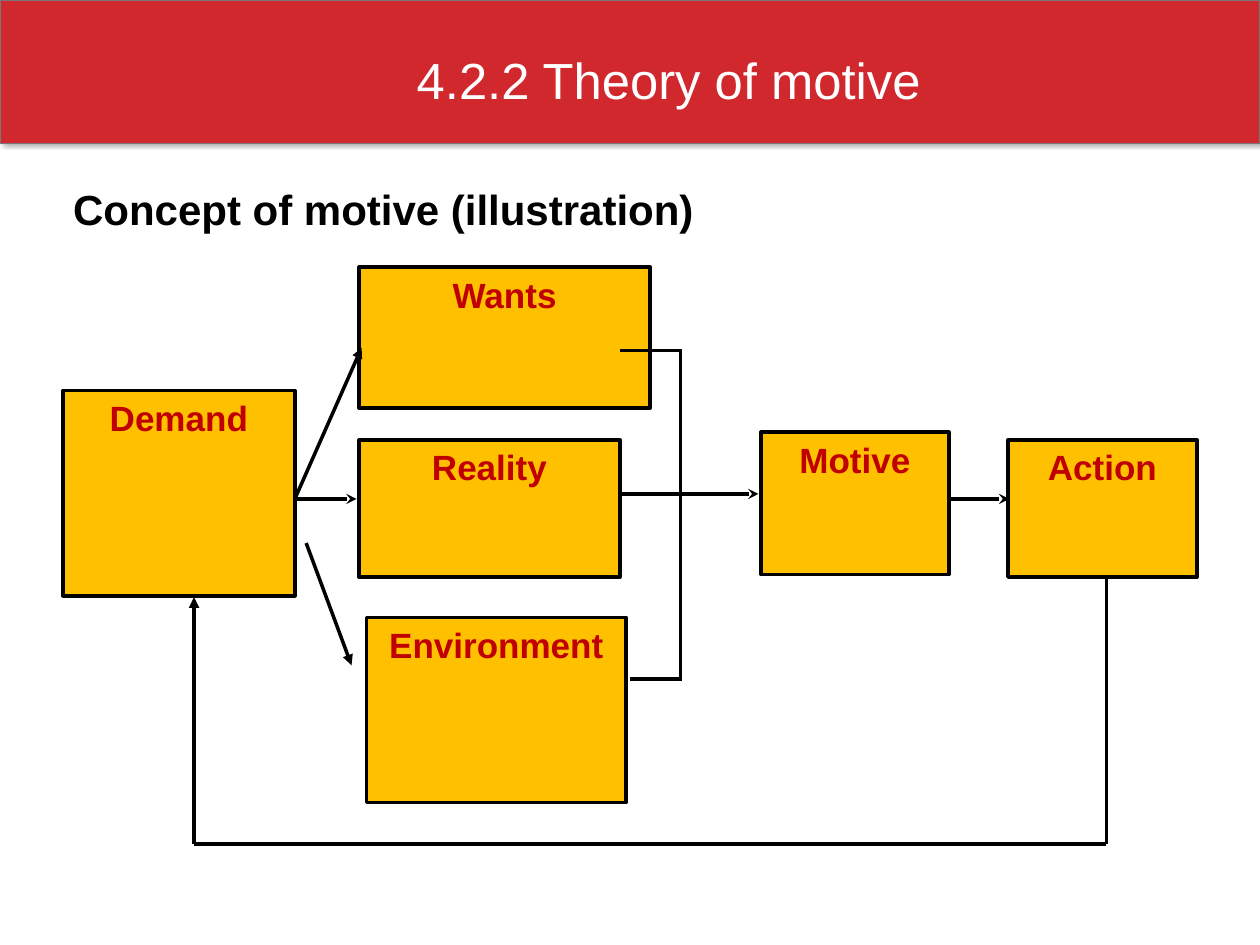
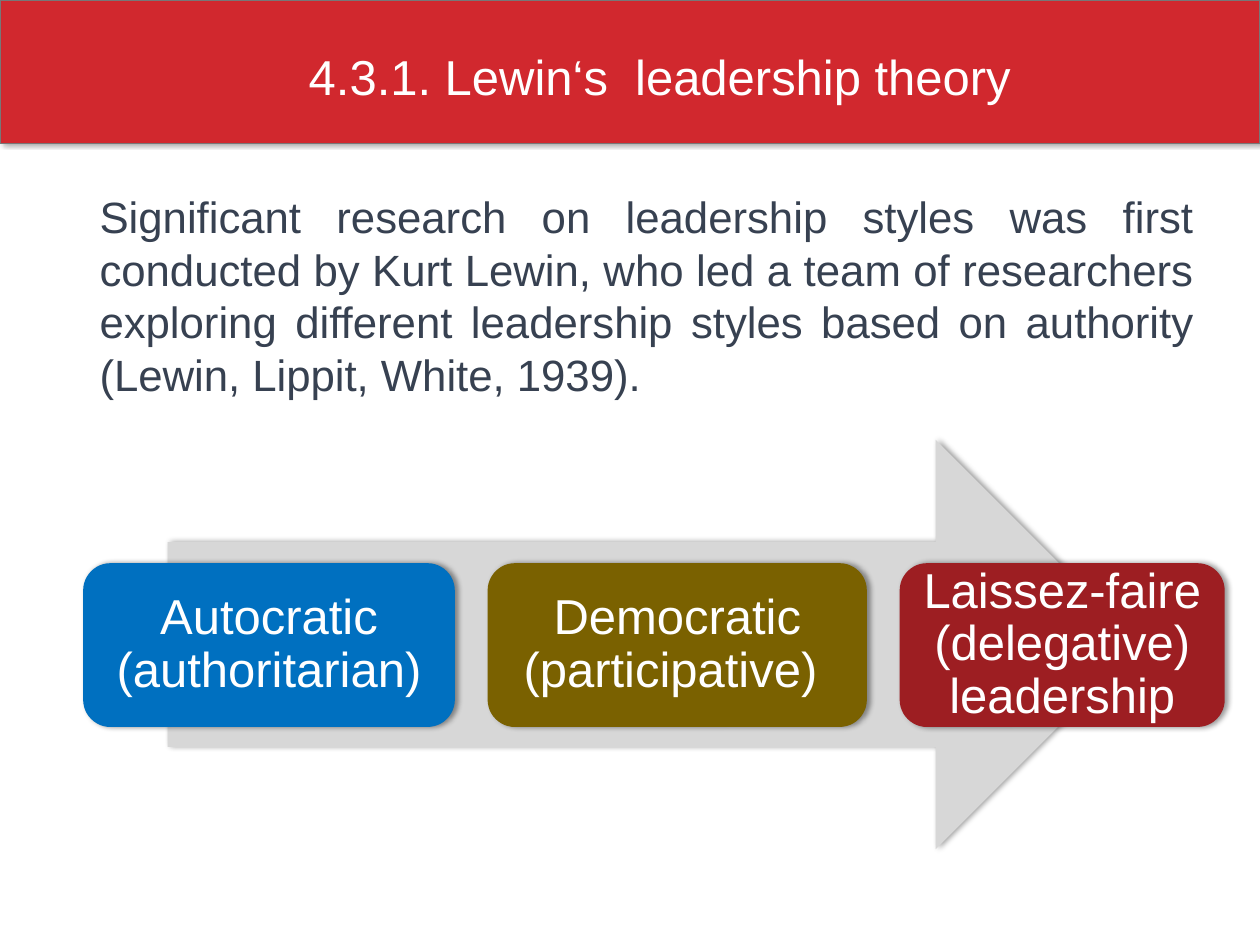
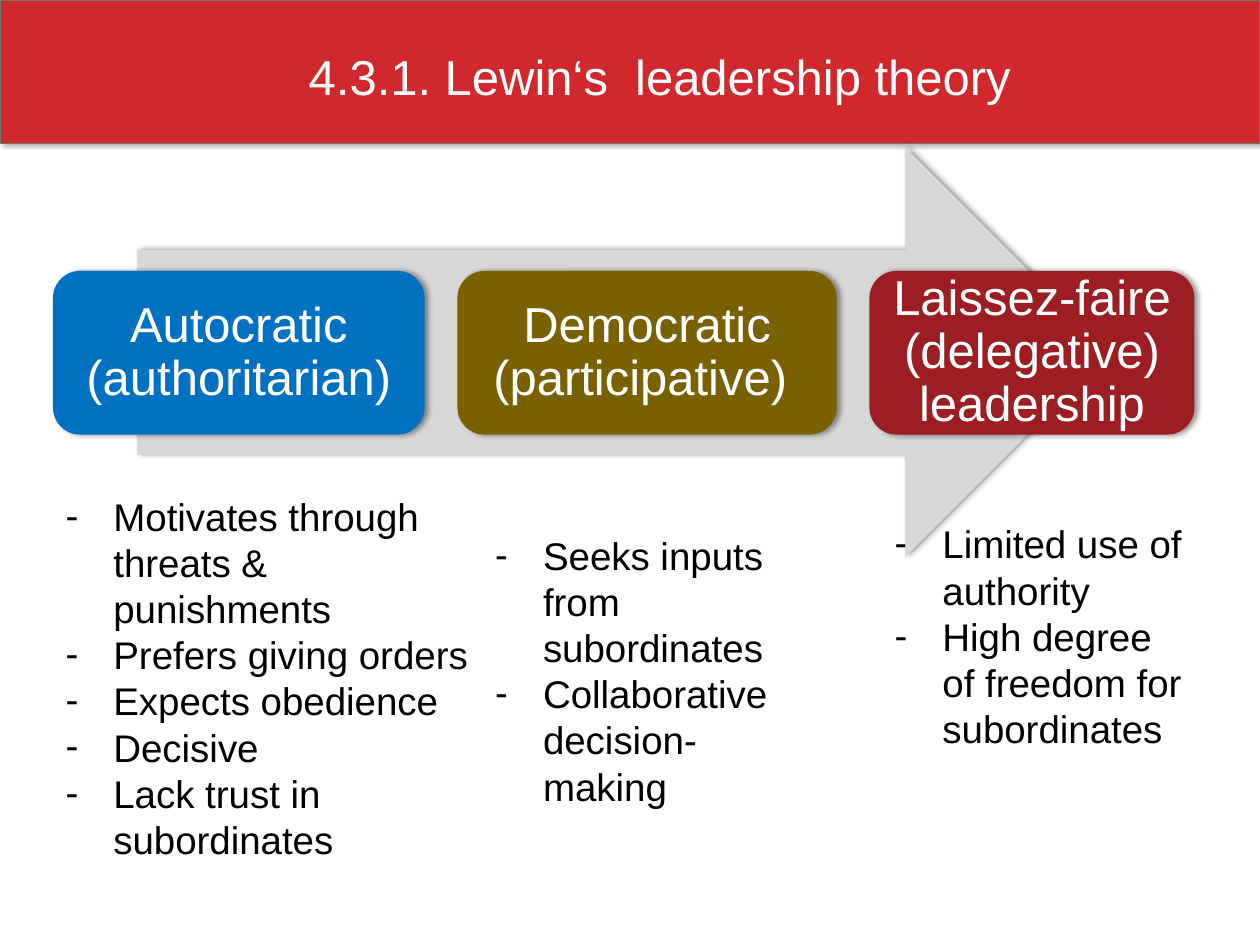
from dataclasses import dataclass

from lxml.etree import SubElement
from pptx import Presentation
from pptx.dml.color import RGBColor
from pptx.enum.shapes import MSO_CONNECTOR, MSO_SHAPE
from pptx.enum.text import MSO_ANCHOR, MSO_AUTO_SIZE, PP_ALIGN
from pptx.oxml.ns import qn
from pptx.util import Inches, Pt


@dataclass(frozen=True)
class Theme:
    font: str = "Arial"
    red: str = "D1282E"
    band_edge: str = "777777"
    white: str = "FFFFFF"
    black: str = "000000"
    amber: str = "FFC000"
    label_red: str = "C00000"
    slate: str = "374151"
    grey: str = "D7D7D7"
    blue: str = "0070C0"
    olive: str = "7A6100"
    crimson: str = "9D1E22"
    motive_title_size: int = 29
    title_size: int = 28
    style_size: int = 28
    paragraph_size: int = 25
    heading_size: int = 24
    list_size: int = 22
    label_size: int = 20


theme = Theme()


def write(shape, *texts, size, color, box=None, bold=False, align=PP_ALIGN.LEFT,
          anchor=MSO_ANCHOR.TOP, spacing=1.0, inset=(0.1, 0.05), marker=None):
    if box:
        shape.left, shape.top, shape.width, shape.height = map(Inches, box)
    frame = shape.text_frame
    frame.word_wrap = True
    frame.auto_size = MSO_AUTO_SIZE.NONE
    frame.vertical_anchor = anchor
    frame.margin_left = frame.margin_right = Inches(inset[0])
    frame.margin_top = frame.margin_bottom = Inches(inset[1])
    for number, text in enumerate(texts):
        paragraph = frame.add_paragraph() if number else frame.paragraphs[0]
        paragraph.alignment = align
        paragraph.line_spacing = spacing
        paragraph.space_before = paragraph.space_after = Pt(0)
        run = paragraph.add_run()
        run.text = text
        run.font.name = theme.font
        run.font.size = Pt(size)
        run.font.bold = bold
        run.font.color.rgb = RGBColor.from_string(color)
        properties = paragraph._p.get_or_add_pPr()
        indent = Inches(0.38) if marker else 0
        properties.set("marL", str(indent))
        properties.set("indent", str(-indent))
        if marker:
            SubElement(properties, qn("a:buFont"), typeface=theme.font)
            SubElement(properties, qn("a:buChar"), char=marker)
        else:
            SubElement(properties, qn("a:buNone"))


def add_block(slide, kind, box, fill, edge=None, edge_width=1, shadow=False):
    block = slide.shapes.add_shape(kind, *map(Inches, box))
    block.fill.solid()
    block.fill.fore_color.rgb = RGBColor.from_string(fill)
    if edge:
        block.line.color.rgb = RGBColor.from_string(edge)
        block.line.width = Pt(edge_width)
    else:
        block.line.fill.background()
    block.shadow.inherit = False
    if shadow:
        effects = block.element.spPr.find(qn("a:effectLst"))
        outer = SubElement(effects, qn("a:outerShdw"), blurRad=str(Pt(3.1)),
                           dist=str(Pt(1.8)), dir="0", rotWithShape="0")
        tone = SubElement(outer, qn("a:srgbClr"), val=theme.black)
        SubElement(tone, qn("a:alpha"), val="40000")
    return block


deck = Presentation()
deck.slide_width = Inches(10)
deck.slide_height = Inches(7.5)
content_layout, comparison_layout = deck.slide_layouts[1], deck.slide_layouts[4]

lewin_title = ("4.3.1. Lewin‘s  leadership theory", theme.title_size, (0.69, 0.32, 9.09, 0.57))
openings = [
    (content_layout, "4.2.2 Theory of motive", theme.motive_title_size, (0.67, 0.34, 9.28, 0.59)),
    (content_layout, *lewin_title),
    (comparison_layout, *lewin_title),
]
for layout, title, title_size, title_box in openings:
    slide = deck.slides.add_slide(layout)
    band = add_block(slide, MSO_SHAPE.RECTANGLE, (0, 0, 10, 1.14), theme.red,
                     edge=theme.band_edge, shadow=True)
    slide.shapes.element.insert(2, band.element)
    write(slide.shapes.title, title, size=title_size, color=theme.white, box=title_box,
          align=PP_ALIGN.CENTER)
motive_slide, styles_slide, traits_slide = deck.slides

write(motive_slide.placeholders[1], "Concept of motive (illustration)",
      size=theme.heading_size, color=theme.black, bold=True, box=(0.48, 1.41, 8.96, 0.71))

motive_steps = [
    ("Demand", (0.5, 3.1, 1.84, 1.63)),
    ("Wants", (2.85, 2.12, 2.31, 1.12)),
    ("Reality", (2.85, 3.49, 2.07, 1.09)),
    ("Environment", (2.91, 4.9, 2.06, 1.47)),
    ("Motive", (6.04, 3.43, 1.49, 1.13)),
    ("Action", (8, 3.49, 1.5, 1.09)),
]
for label, box in motive_steps:
    step = add_block(motive_slide, MSO_SHAPE.RECTANGLE, box, theme.amber,
                     edge=theme.black, edge_width=2)
    write(step, label, size=theme.label_size, color=theme.label_red, bold=True,
          align=PP_ALIGN.CENTER)

motive_links = [
    ((2.34, 3.96), (2.83, 3.96), "stealth"),
    ((7.52, 3.96), (8.01, 3.96), "stealth"),
    ((2.34, 3.96), (2.87, 2.76), "triangle"),
    ((2.43, 4.31), (2.79, 5.28), "triangle"),
    ((4.92, 3.92), (6.02, 3.92), "stealth"),
    ((4.92, 2.78), (5.41, 2.78), None),
    ((5, 5.39), (5.41, 5.39), None),
    ((5.4, 2.78), (5.4, 5.39), None),
    ((8.78, 4.57), (8.78, 6.7), None),
    ((1.54, 6.7), (1.54, 4.74), "triangle"),
    ((1.54, 6.7), (8.78, 6.7), None),
]
for start, end, head in motive_links:
    link = motive_slide.shapes.add_connector(MSO_CONNECTOR.STRAIGHT, *map(Inches, start + end))
    link.line.color.rgb = RGBColor.from_string(theme.black)
    link.line.width = Pt(2)
    if head:
        SubElement(link.line._get_or_add_ln(), qn("a:tailEnd"), type=head)
    SubElement(link.element.spPr, qn("a:effectLst"))

write(styles_slide.placeholders[1],
      "Significant research on leadership styles was first conducted by Kurt Lewin, "
      "who led a team of researchers exploring different leadership styles based on "
      "authority (Lewin, Lippit, White, 1939).",
      size=theme.paragraph_size, color=theme.slate, align=PP_ALIGN.JUSTIFY,
      box=(0.69, 1.46, 8.88, 2.64))

leadership_styles = [
    ("Autocratic (authoritarian)", 2.95, theme.blue),
    ("Democratic (participative) ", 3.01, theme.olive),
    ("Laissez-faire (delegative) leadership", 2.58, theme.crimson),
]
style_gap = 0.26
for slide, left, top in [(styles_slide, 0.66, 4.47), (traits_slide, 0.42, 2.15)]:
    add_block(slide, MSO_SHAPE.RIGHT_ARROW, (left + 0.67, top - 0.98, 7.72, 3.25),
              theme.grey, shadow=True)
    for name, width, fill in leadership_styles:
        style = add_block(slide, MSO_SHAPE.ROUNDED_RECTANGLE, (left, top, width, 1.3),
                          fill, shadow=True)
        write(style, name, size=theme.style_size, color=theme.white, align=PP_ALIGN.CENTER,
              anchor=MSO_ANCHOR.MIDDLE, spacing=0.9, inset=(0.12, 0.12))
        left += width + style_gap

style_traits = [
    ((0.42, 3.86, 3.42, 3.06), ["Motivates through threats & punishments",
                                "Prefers giving orders", "Expects obedience", "Decisive",
                                "Lack trust in subordinates"]),
    ((3.83, 4.17, 2.58, 2.32), ["Seeks inputs from subordinates",
                                "Collaborative decision-making"]),
    ((7, 4.08, 2.58, 2.32), ["Limited use of authority",
                             "High degree of freedom for subordinates"]),
]
for position, (box, traits) in enumerate(style_traits, start=1):
    write(traits_slide.placeholders[position], *traits, size=theme.list_size,
          color=theme.black, box=box, marker="-")
spare = traits_slide.placeholders[4].element
spare.getparent().remove(spare)

deck.save("out.pptx")
